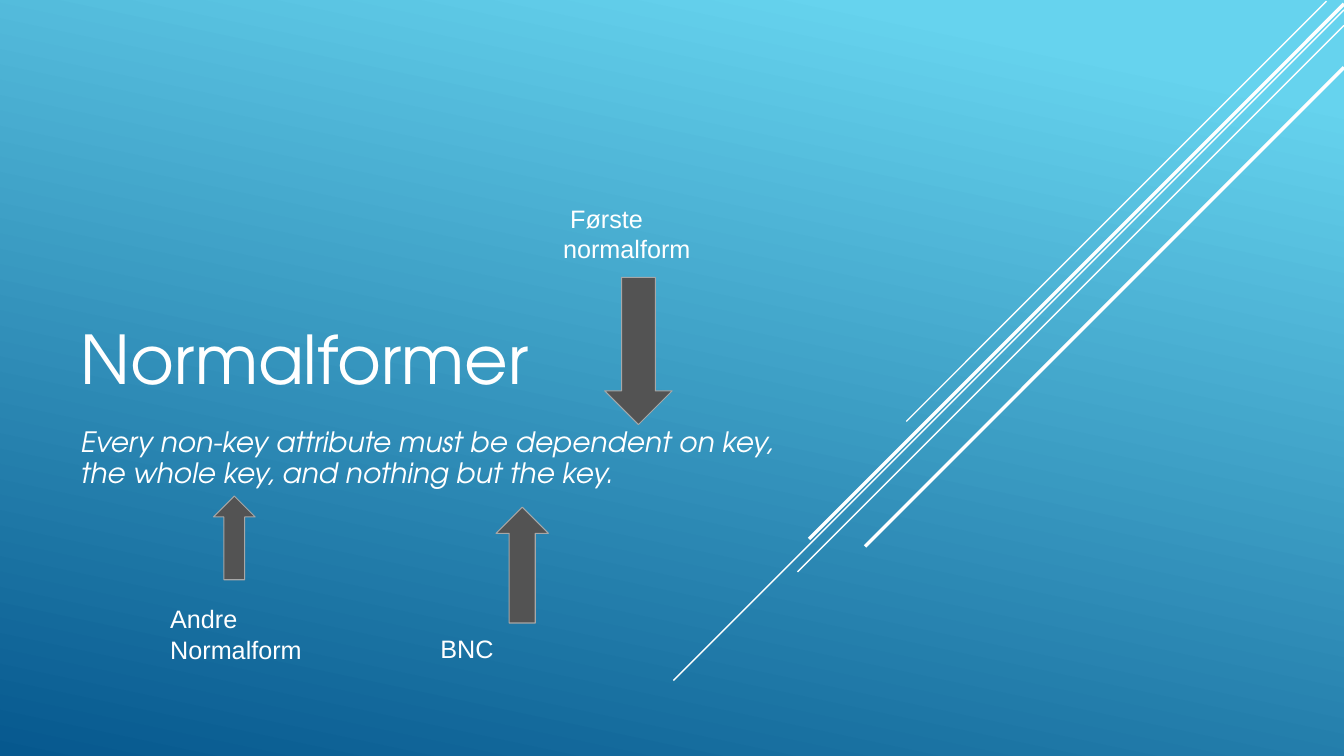
from dataclasses import dataclass

import pptx
import pptx.dml.color
import pptx.enum.shapes
import pptx.enum.text
import pptx.oxml.ns
import pptx.util
from lxml import etree

Cm = pptx.util.Cm
Pt = pptx.util.Pt
RGBColor = pptx.dml.color.RGBColor
Shapes = pptx.enum.shapes.MSO_SHAPE
Anchor = pptx.enum.text.MSO_ANCHOR

WHITE = RGBColor(0xFF, 0xFF, 0xFF)
SKY = RGBColor(0x66, 0xD3, 0xEE)
OCEAN = RGBColor(0x06, 0x58, 0x8E)
ARROW_FILL = RGBColor(0x53, 0x53, 0x53)
ARROW_EDGE = RGBColor(0xA7, 0xA7, 0xA7)

HEADING_FONT = "TeX Gyre Adventor"
LABEL_FONT = "Arial"


@dataclass
class Box:
    """A rectangle in centimetres."""
    left: float
    top: float
    width: float
    height: float

    def inner(self, left, top, width, height):
        return Box(self.left + left, self.top + top, width, height)

    def lengths(self):
        return [Cm(side) for side in (self.left, self.top, self.width, self.height)]


def paint_background(page):
    fill = page.background.fill
    fill.gradient()
    fill.gradient_angle = 258
    for stop, (position, colour) in zip(fill.gradient_stops, [(0.1, SKY), (1, OCEAN)]):
        stop.position = position
        stop.color.rgb = colour


def add_text(page, box, text, font, size, inset, anchor=Anchor.TOP, italic=False):
    """Add a wrapped white text box and return its paragraph."""
    frame = page.shapes.add_textbox(*box.lengths()).text_frame
    frame.word_wrap = True
    frame.vertical_anchor = anchor
    frame.margin_left = frame.margin_right = Cm(inset)
    frame.margin_top = frame.margin_bottom = Cm(inset)
    para = frame.paragraphs[0]
    span = para.add_run()
    span.text = text
    span.font.name = font
    span.font.size = Pt(size)
    span.font.italic = italic
    span.font.color.rgb = WHITE
    return para


def add_diagonals(page, box):
    """Draw 45-degree lines running down and left from the box's right edge."""
    lines = [  # gap to right edge, top, run, weight
        (0.44, 0.03, 10.59, 1),
        (0, 0.25, 16.9, 1),
        (0, 0.64, 13.77, 1),
        (0, 0.1, 13.48, 2.5),
        (0, 1.7, 12.07, 2.5),
    ]
    for gap, top, run, weight in lines:
        x, y = box.left + box.width - gap, box.top + top
        line = page.shapes.add_connector(
            pptx.enum.shapes.MSO_CONNECTOR.STRAIGHT, Cm(x), Cm(y), Cm(x - run), Cm(y + run))
        line.line.color.rgb = WHITE
        line.line.width = Pt(weight)
        etree.SubElement(line.element.spPr, pptx.oxml.ns.qn("a:effectLst"))


def add_heading(page, box):
    add_text(page, box.inner(0, 0, box.width, 10.16), "Normalformer",
             HEADING_FONT, 48, 0.13, Anchor.BOTTOM)
    rule = add_text(
        page, box.inner(0, 10.67, 17.78, 8.38),
        "Every non-key attribute must be dependent on key, "
        "the whole key, and nothing but the key.",
        HEADING_FONT, 20, 0.13, italic=True)
    rule.line_spacing = 0.9


def add_arrow(page, box, kind):
    arrow = page.shapes.add_shape(kind, *box.lengths())
    arrow.shadow.inherit = False
    arrow.fill.solid()
    arrow.fill.fore_color.rgb = ARROW_FILL
    arrow.line.color.rgb = ARROW_EDGE
    arrow.line.width = Pt(0.75)


def add_normal_forms(page, box):
    """Point an arrow at each part of the rule and label it."""
    forms = [  # label, label corner, first-line indent, arrow kind, arrow box
        ("Første normalform", (13.94, 4.88), 0.18, Shapes.DOWN_ARROW, (15.24, 6.99, 1.7, 3.71)),
        ("Andre Normalform", (4.04, 14.96), 0, Shapes.UP_ARROW, (5.38, 12.5, 1.05, 2.11)),
        ("BNC", (10.85, 15.7), 0, Shapes.UP_ARROW, (12.5, 12.78, 1.32, 2.92)),
    ]
    for label, corner, indent, kind, arrow in forms:
        add_arrow(page, box.inner(*arrow), kind)
        para = add_text(page, box.inner(*corner, 5, 2.11), label, LABEL_FONT, 18, 0.25)
        if indent:
            para._p.get_or_add_pPr().set("indent", str(Cm(indent)))


def main():
    deck = pptx.Presentation()
    whole = Box(0, 0, 33.87, 19.05)
    deck.slide_width, deck.slide_height = Cm(whole.width), Cm(whole.height)
    page = deck.slides.add_slide(deck.slide_layouts[6])
    paint_background(page)
    add_diagonals(page, whole)
    add_heading(page, whole.inner(1.9, 0, 22.23, whole.height))
    add_normal_forms(page, whole)
    deck.save("out.pptx")


if __name__ == "__main__":
    main()
